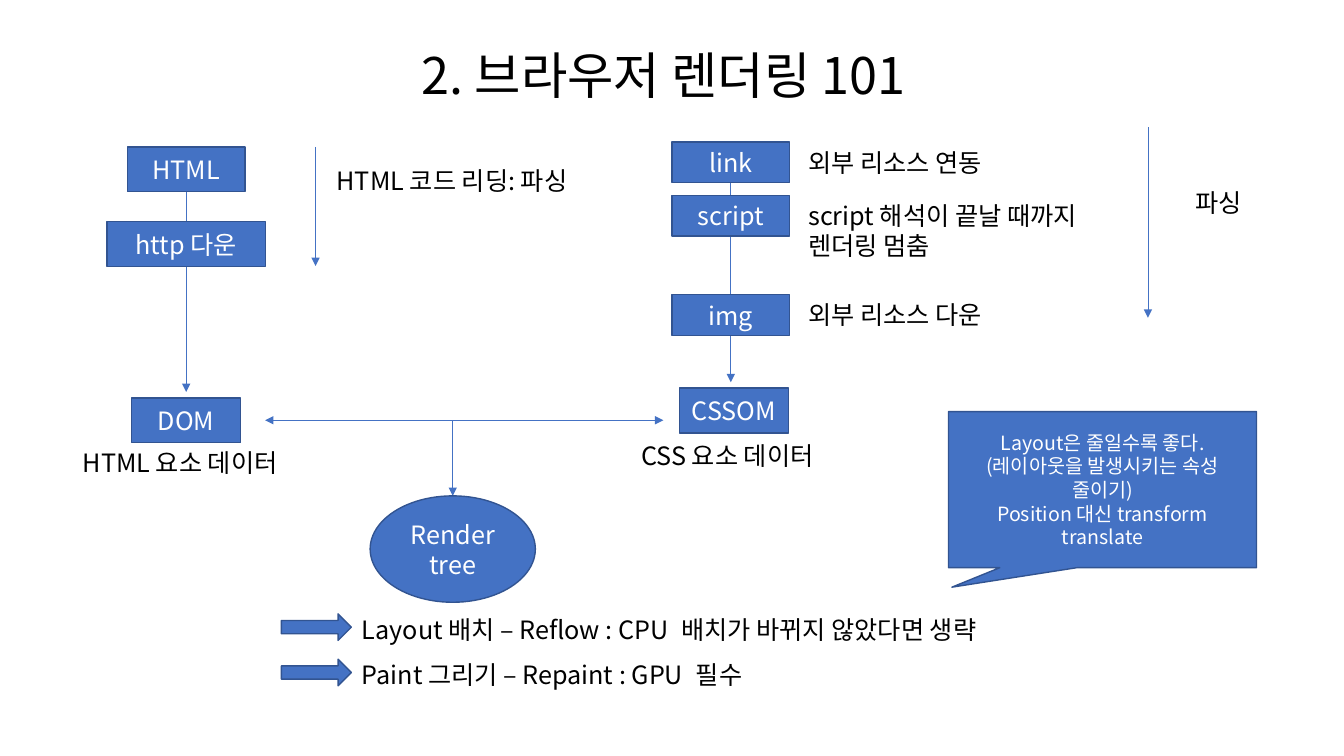
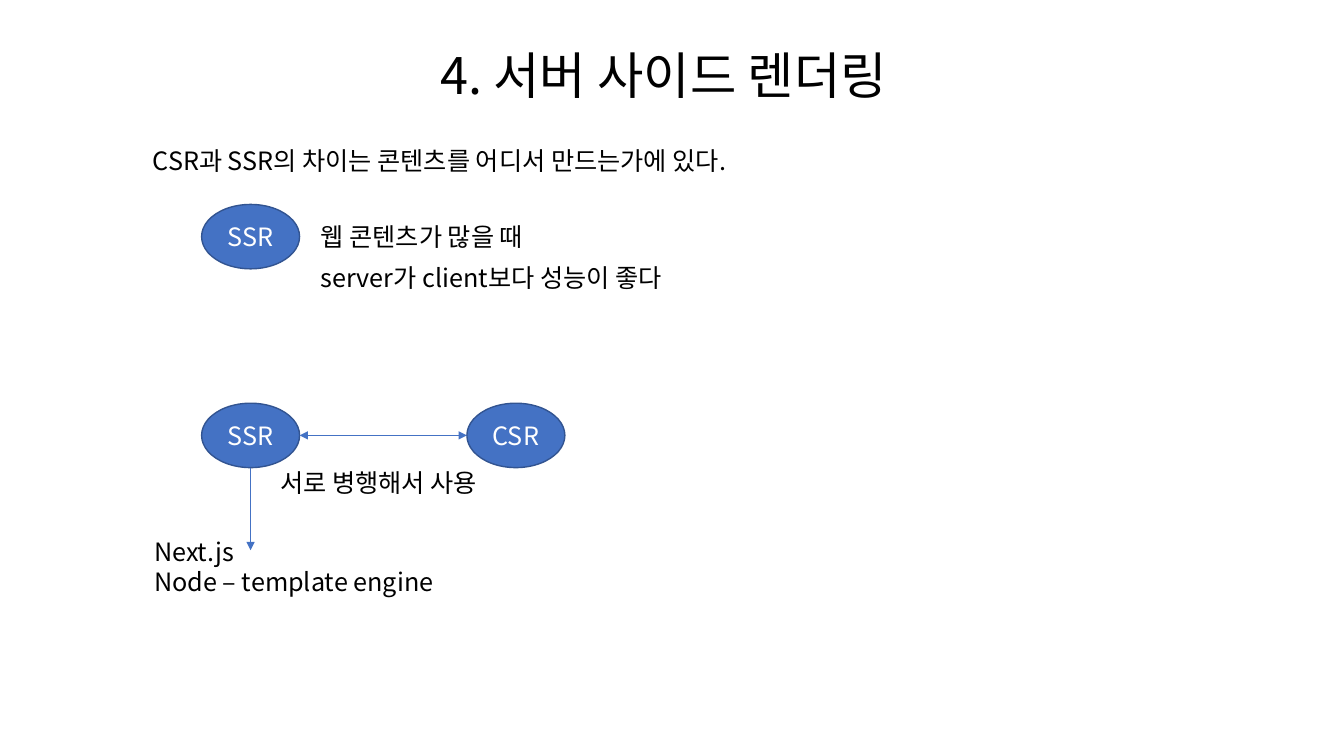
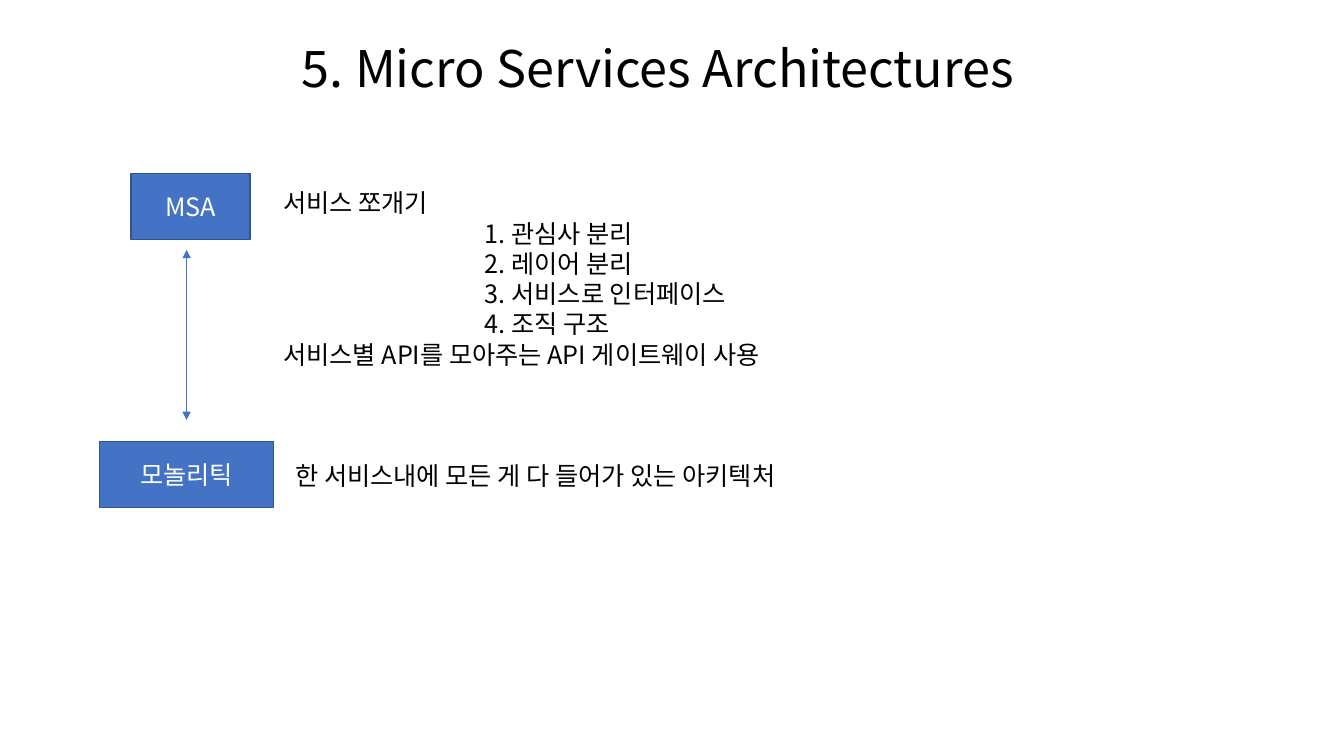
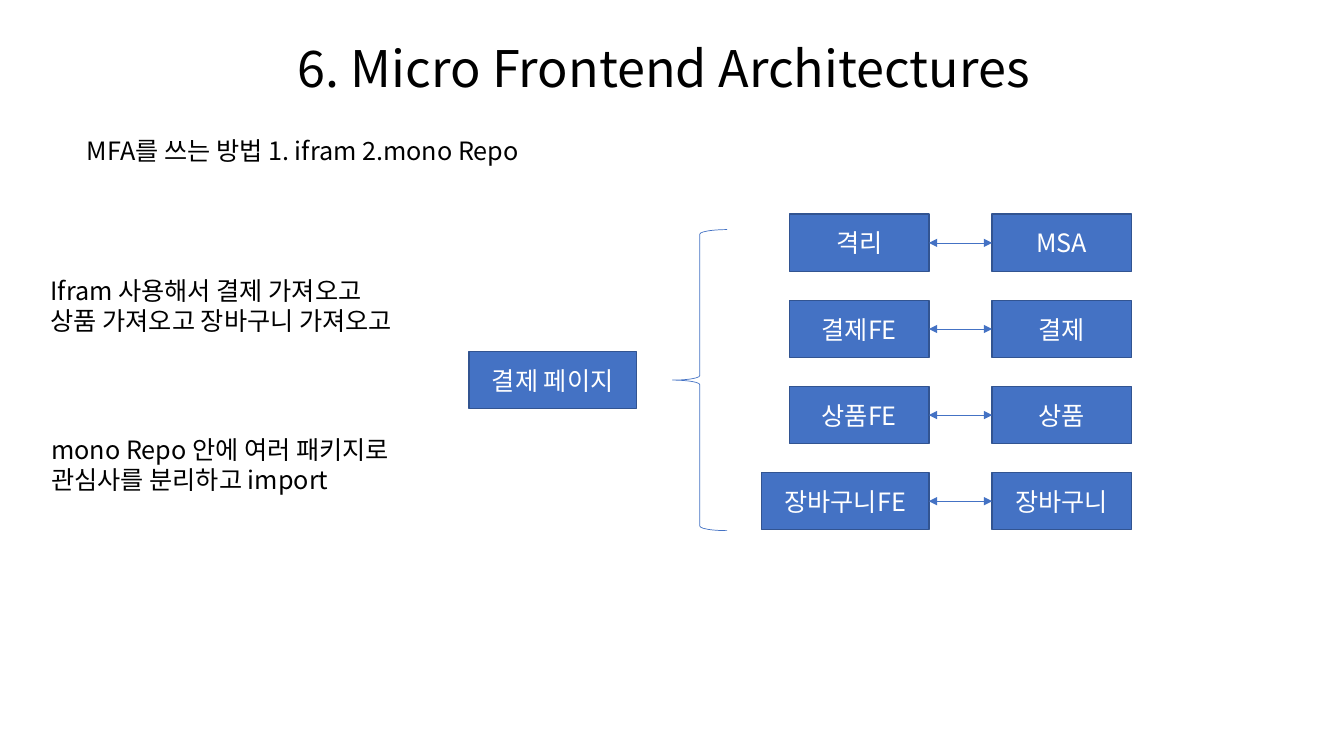
from lxml.etree import SubElement
from pptx import Presentation
from pptx.dml.color import RGBColor
from pptx.enum.shapes import MSO_CONNECTOR, MSO_SHAPE as Preset
from pptx.enum.text import MSO_ANCHOR as Anchor, MSO_AUTO_SIZE as AutoSize, PP_ALIGN as Align
from pptx.oxml.ns import qn
from pptx.util import Pt

FONT = "Noto Sans CJK KR"
BLUE, EDGE, WHITE, BLACK = "4472C4", "325491", "FFFFFF", "000000"
BODY_SIZE, TITLE_SIZE, NOTE_SIZE = 18, 36, 14
LINE_HEIGHT = 29


def color(value):
    return RGBColor.from_string(value)


def write(frame, text, size, ink, align):
    frame.text = text
    for paragraph in frame.paragraphs:
        paragraph.alignment = align
        paragraph.font.size = Pt(size)
        paragraph.font.color.rgb = color(ink)
        paragraph.font.name = FONT
        defaults = paragraph._p.get_or_add_pPr().find(qn("a:defRPr"))
        SubElement(defaults, qn("a:ea")).set("typeface", FONT)


def add_titled_slide(presentation, text, top):
    slide = presentation.slides.add_slide(presentation.slide_layouts[5])
    title = slide.shapes.title
    title.left, title.top, title.width, title.height = Pt(114), Pt(top), Pt(720), Pt(64)
    frame = title.text_frame
    write(frame, text, TITLE_SIZE, BLACK, Align.CENTER)
    frame.paragraphs[0].line_spacing = 0.9
    frame.vertical_anchor = Anchor.MIDDLE
    frame.auto_size = AutoSize.NONE
    return slide


def add_label(slide, text, left, top, width, height=LINE_HEIGHT, wrap=True):
    box = slide.shapes.add_textbox(Pt(left), Pt(top), Pt(width), Pt(height))
    frame = box.text_frame
    frame.word_wrap = wrap
    frame.auto_size = AutoSize.SHAPE_TO_FIT_TEXT
    write(frame, text, BODY_SIZE, BLACK, Align.LEFT)
    return box


def add_block(slide, text, left, top, width, height, preset=Preset.RECTANGLE, size=BODY_SIZE):
    shape = slide.shapes.add_shape(preset, Pt(left), Pt(top), Pt(width), Pt(height))
    shape.shadow.inherit = False
    shape.fill.solid()
    shape.fill.fore_color.rgb = color(BLUE)
    shape.line.color.rgb = color(EDGE)
    shape.line.width = Pt(1)
    shape.text_frame.vertical_anchor = Anchor.MIDDLE
    if text:
        write(shape.text_frame, text, size, WHITE, Align.CENTER)
    return shape


def add_arrow(slide, start_x, start_y, end_x, end_y, double=False):
    arrow = slide.shapes.add_connector(
        MSO_CONNECTOR.STRAIGHT, Pt(start_x), Pt(start_y), Pt(end_x), Pt(end_y))
    arrow.line.color.rgb = color(BLUE)
    arrow.line.width = Pt(0.5)
    outline = arrow.line._get_or_add_ln()
    for end in ("headEnd", "tailEnd") if double else ("tailEnd",):
        SubElement(outline, qn(f"a:{end}")).set("type", "triangle")
    SubElement(arrow._element.spPr, qn("a:effectLst"))


def draw_html_pipeline(slide, left, top):
    axis = left + 81
    add_arrow(slide, axis, top + 32, axis, top + 175)
    for text, offset, width in (("HTML", 0, 84), ("http 다운", 53.3, 113), ("DOM", 179.3, 78)):
        add_block(slide, text, axis - width / 2, top + offset, width, 32)
    add_label(slide, "HTML 요소 데이터", left, top + 211, 173, wrap=False)
    add_arrow(slide, left + 173.4, top, left + 173.4, top + 85)
    add_label(slide, "HTML 코드 리딩: 파싱", left + 181.4, top + 9.5, 202, wrap=False)


def draw_resource_pipeline(slide, left, top):
    axis = left + 71
    add_arrow(slide, axis, top + 29, axis, top + 171.5)
    resources = (
        ("link", "외부 리소스 연동", 0, LINE_HEIGHT),
        ("script", "script 해석이 끝날 때까지 렌더링 멈춤", 38, 51),
        ("img", "외부 리소스 다운", 109, LINE_HEIGHT),
    )
    for tag, effect, offset, height in resources:
        add_block(slide, tag, axis - 42, top + offset, 84, 29)
        add_label(slide, effect, left + 119.3, top + offset, 237.6, height)
    add_block(slide, "CSSOM", left + 34.3, top + 175.7, 78, 32)
    add_label(slide, "CSS 요소 데이터", left, top + 209.5, 150, wrap=False)
    add_arrow(slide, left + 369, top - 10.5, left + 369, top + 125.5)
    add_label(slide, "파싱", left + 396, top + 29, 51, wrap=False)


def draw_render_tree(slide, left, top, width):
    axis = left + 134
    add_arrow(slide, left, top, left + width, top, double=True)
    add_arrow(slide, axis, top, axis, top + 54)
    add_block(slide, "Render\ntree", axis - 59, top + 54, 118, 76, Preset.OVAL)


def draw_render_steps(slide, left, top):
    steps = (
        ("Layout 배치 – Reflow : CPU\u2002배치가 바뀌지 않았다면 생략", 497),
        ("Paint 그리기 – Repaint : GPU\u2002필수", 308),
    )
    for index, (text, width) in enumerate(steps):
        row = top + index * 32.4
        add_block(slide, "", left, row + 3.5, 50, 19, Preset.RIGHT_ARROW)
        add_label(slide, text, left + 50.4, row, width, wrap=False)


def draw_layout_tip(slide, left, top, width, height):
    text = "Layout은 줄일수록 좋다.\n(레이아웃을 발생시키는 속성 줄이기)\nPosition 대신 transform translate"
    callout = add_block(slide, text, left, top, width, height,
                        Preset.RECTANGULAR_CALLOUT, NOTE_SIZE)
    callout.adjustments[0] = -0.489
    callout.adjustments[1] = 0.625


def draw_server_reasons(slide, left, top):
    add_block(slide, "SSR", left, top, 70, 46, Preset.OVAL)
    for index, text in enumerate(("웹 콘텐츠가 많을 때", "server가 client보다 성능이 좋다")):
        add_label(slide, text, left + 78, top + 8.5 + index * LINE_HEIGHT, 294)


def draw_combined_rendering(slide, left, top):
    width, height, distance = 70, 46, 189.5
    middle = top + height / 2
    for index, text in enumerate(("SSR", "CSR")):
        add_block(slide, text, left + index * distance, top, width, height, Preset.OVAL)
    add_arrow(slide, left + width, middle, left + distance, middle, double=True)
    add_label(slide, "서로 병행해서 사용", left + 49, top + 42.5, 210)
    add_arrow(slide, left + width / 2, top + height, left + width / 2, top + 105)
    add_label(slide, "Next.js\nNode – template engine", left - 41, top + 91.5, 217, 51)


def draw_service_comparison(slide, left, top):
    axis = left + 62
    add_block(slide, "MSA", left + 22.3, top, 85, 47)
    add_arrow(slide, axis, top + 54.5, axis, top + 176, double=True)
    add_block(slide, "모놀리틱", left, top + 191.5, 124, 47)
    reasons = ("관심사 분리", "레이어 분리", "서비스로 인터페이스", "조직 구조")
    numbered = [f"{number}. {reason}" for number, reason in enumerate(reasons, 1)]
    lines = ["서비스 쪼개기", *numbered, "서비스별 API를 모아주는 API 게이트웨이 사용"]
    details = add_label(slide, "\n".join(lines), left + 124, top + 6.5, 659, 138)
    for paragraph in details.text_frame.paragraphs[1:-1]:
        paragraph._p.get_or_add_pPr().set("marL", str(Pt(144)))
    add_label(slide, "한 서비스내에 모든 게 다 들어가 있는 아키텍처", left + 132.5, top + 201, 505)


def draw_frontend_methods(slide, left, top):
    add_label(slide, "MFA를 쓰는 방법 1. ifram 2.mono Repo", left + 26, top, 659)
    add_label(slide, "Ifram 사용해서 결제 가져오고\n상품 가져오고 장바구니 가져오고",
              left, top + 100, 296, 51)
    add_label(slide, "mono Repo 안에 여러 패키지로 관심사를 분리하고 import",
              left + 0.5, top + 213.7, 296, 51)


def draw_frontend_map(slide, left, top):
    height, step, front_right, back_left = 41, 61.5, 328.5, 373.7
    add_block(slide, "결제 페이지", left, top + 98, 119.5, height)
    brace = slide.shapes.add_shape(
        Preset.LEFT_BRACE, Pt(left + 145.4), Pt(top + 11), Pt(39), Pt(215))
    brace.shadow.inherit = False
    brace.fill.background()
    brace.line.color.rgb = color(BLUE)
    brace.line.width = Pt(0.5)
    pairs = (
        ("격리", "MSA", 99.5),
        ("결제FE", "결제", 99.5),
        ("상품FE", "상품", 99.5),
        ("장바구니FE", "장바구니", 119.5),
    )
    for index, (front, back, width) in enumerate(pairs):
        row = top + index * step
        middle = row + height / 2
        add_block(slide, front, left + front_right - width, row, width, height)
        add_block(slide, back, left + back_left, row, 99.5, height)
        add_arrow(slide, left + front_right, middle, left + back_left, middle, double=True)


def build_browser_rendering(presentation):
    slide = add_titled_slide(presentation, "2. 브라우저 렌더링 101", 24)
    draw_html_pipeline(slide, 52, 105)
    draw_resource_pipeline(slide, 451, 101.5)
    draw_render_tree(slide, 189.4, 300.2, 284.4)
    draw_render_steps(slide, 201, 435)
    draw_layout_tip(slide, 677.5, 294, 220, 111.5)


def build_server_rendering(presentation):
    slide = add_titled_slide(presentation, "4. 서버 사이드 렌더링", 24)
    add_label(slide, "CSR과 SSR의 차이는 콘텐츠를 어디서 만드는가에 있다.", 102, 100, 700)
    draw_server_reasons(slide, 144, 146)
    draw_combined_rendering(slide, 144, 288)


def build_micro_services(presentation):
    slide = add_titled_slide(presentation, "5. Micro Services Architectures ", 19)
    draw_service_comparison(slide, 71.3, 124)


def build_micro_frontend(presentation):
    slide = add_titled_slide(presentation, "6. Micro Frontend Architectures", 19)
    draw_frontend_methods(slide, 29, 93)
    draw_frontend_map(slide, 335, 153)


presentation = Presentation()
presentation.slide_width, presentation.slide_height = Pt(960), Pt(540)
build_browser_rendering(presentation)
build_server_rendering(presentation)
build_micro_services(presentation)
build_micro_frontend(presentation)
presentation.save("out.pptx")
